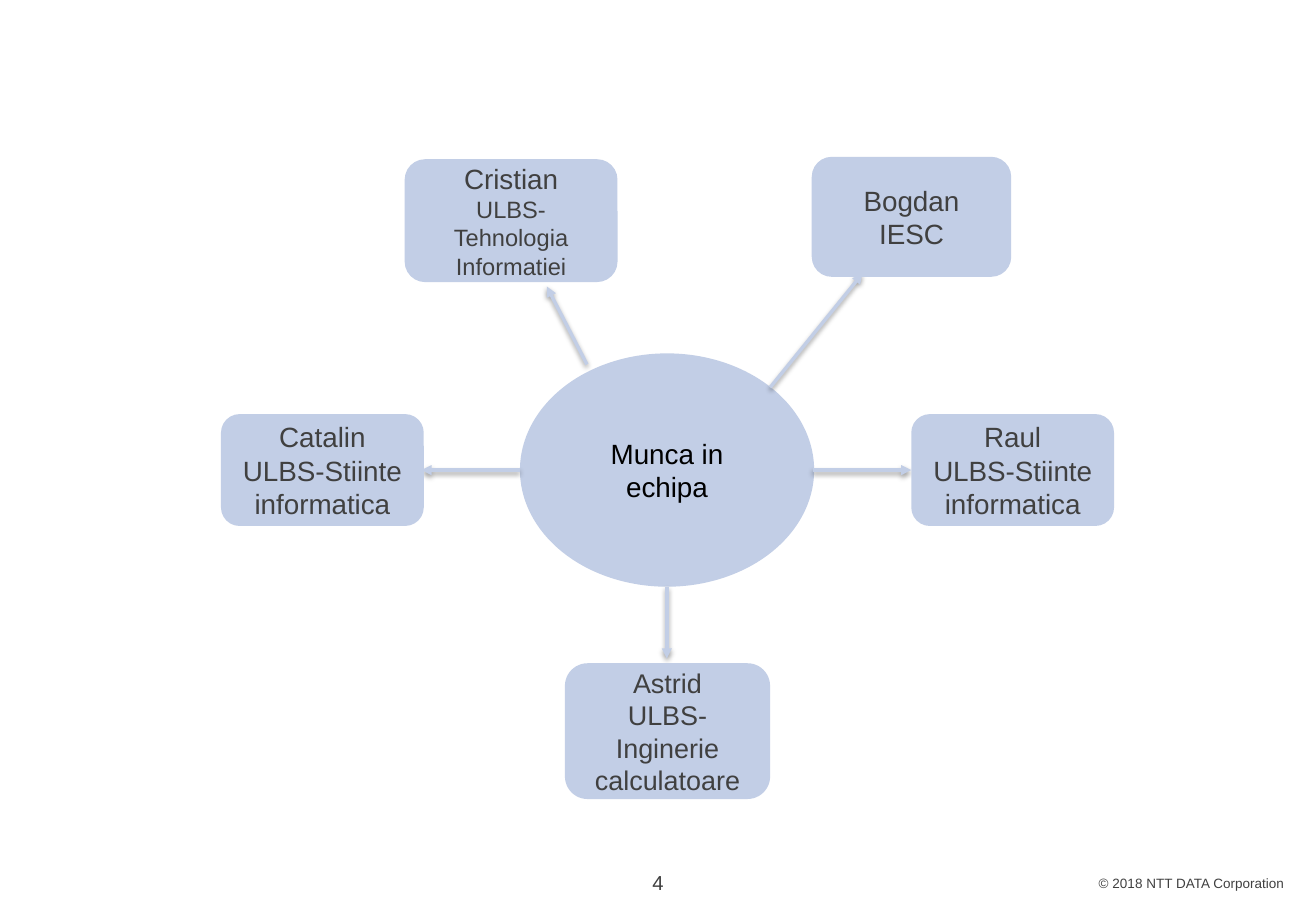
from dataclasses import dataclass

from lxml import etree
from pptx import Presentation
from pptx import util as u
from pptx.dml.color import RGBColor
from pptx.enum import shapes, text
from pptx.oxml import ns, parse_xml
from pptx.slide import Slide
from pptx.text.text import TextFrame


@dataclass(frozen=True)
class Theme:
    font: str = "Arial"
    fill: str = "C2CEE6"
    grey: str = "404040"
    black: str = "000000"
    name_size: float = 16.5
    astrid_size: float = 16
    detail_size: float = 14
    number_size: float = 12
    copyright_size: float = 8
    arrow_width: float = 2


@dataclass(frozen=True)
class Box:
    left: float
    top: float
    width: float
    height: float


@dataclass(frozen=True)
class Line:
    words: str
    size: float


@dataclass(frozen=True)
class Member:
    box: Box
    lines: tuple[Line, ...]
    start: tuple[float, float]
    end: tuple[float, float]


@dataclass(frozen=True)
class Footer:
    box: Box
    line: Line
    align: text.PP_ALIGN


THEME = Theme()
CENTER = text.PP_ALIGN.CENTER
HUB = Box(10.87, 7.39, 6.15, 4.88)
MIDDLE = 9.83
STIINTE = Line("ULBS-Stiinte informatica", THEME.name_size)

MEMBERS = (
    Member(
        Box(8.46, 3.33, 4.45, 2.57),
        (
            Line("Cristian", THEME.name_size),
            Line("ULBS-Tehnologia Informatiei", THEME.detail_size),
        ),
        (12.27, 7.62),
        (11.43, 5.99),
    ),
    Member(
        Box(4.62, 8.66, 4.24, 2.34),
        (Line("Catalin", THEME.name_size), STIINTE),
        (10.87, MIDDLE),
        (8.81, MIDDLE),
    ),
    Member(
        Box(19.05, 8.66, 4.24, 2.34),
        (Line("Raul", THEME.name_size), STIINTE),
        (16.99, MIDDLE),
        (19.05, MIDDLE),
    ),
    Member(
        Box(11.81, 13.87, 4.29, 2.84),
        (
            Line("Astrid", THEME.astrid_size),
            Line("ULBS-Inginerie calculatoare", THEME.astrid_size),
        ),
        (13.94, 12.27),
        (13.94, 13.77),
    ),
    Member(
        Box(16.97, 3.28, 4.17, 2.51),
        (Line("Bogdan", THEME.name_size), Line("IESC", THEME.name_size)),
        (16.1, 8.1),
        (18.03, 5.72),
    ),
)

FOOTERS = (
    Footer(
        Box(22.63, 18.29, 4.47, 0.36),
        Line("© 2018 NTT DATA Corporation", THEME.copyright_size),
        text.PP_ALIGN.RIGHT,
    ),
    Footer(Box(12.83, 18.19, 1.85, 0.51), Line("4", THEME.number_size), CENTER),
)

SHADOW = (
    f"<a:effectLst {ns.nsdecls('a')}>"
    '<a:outerShdw blurRad="39370" dist="20320" dir="5400000" rotWithShape="0">'
    '<a:srgbClr val="000000"><a:alpha val="38000"/></a:srgbClr>'
    "</a:outerShdw></a:effectLst>"
)


def cm(box: Box) -> tuple[u.Cm, u.Cm, u.Cm, u.Cm]:
    return u.Cm(box.left), u.Cm(box.top), u.Cm(box.width), u.Cm(box.height)


def write(
    tf: TextFrame, lines: tuple[Line, ...], color: str, align: text.PP_ALIGN = CENTER
) -> None:
    tf.word_wrap = True
    tf.text = "\n".join(line.words for line in lines)
    for p, line in zip(tf.paragraphs, lines):
        p.alignment = align
        for r in p.runs:
            r.font.name = THEME.font
            r.font.size = u.Pt(line.size)
            r.font.color.rgb = RGBColor.from_string(color)


def draw_node(
    s: Slide, kind: shapes.MSO_SHAPE, box: Box, lines: tuple[Line, ...], color: str
) -> None:
    sp = s.shapes.add_shape(kind, *cm(box))
    sp.shadow.inherit = False
    sp.fill.solid()
    sp.fill.fore_color.rgb = RGBColor.from_string(THEME.fill)
    sp.line.fill.background()
    sp.text_frame.vertical_anchor = text.MSO_ANCHOR.MIDDLE
    write(sp.text_frame, lines, color)


def draw_arrow(s: Slide, start: tuple[float, float], end: tuple[float, float]) -> None:
    points = (u.Cm(value) for value in start + end)
    cxn = s.shapes.add_connector(shapes.MSO_CONNECTOR.STRAIGHT, *points)
    cxn.line.color.rgb = RGBColor.from_string(THEME.fill)
    cxn.line.width = u.Pt(THEME.arrow_width)
    etree.SubElement(cxn.line._get_or_add_ln(), ns.qn("a:tailEnd"), type="triangle")
    cxn._element.spPr.append(parse_xml(SHADOW))


def draw_footer(s: Slide, footer: Footer) -> None:
    tf = s.shapes.add_textbox(*cm(footer.box)).text_frame
    tf.margin_top = tf.margin_bottom = 0
    tf.auto_size = text.MSO_AUTO_SIZE.SHAPE_TO_FIT_TEXT
    write(tf, (footer.line,), THEME.grey, footer.align)


def main() -> None:
    prs = Presentation()
    prs.slide_width, prs.slide_height = u.Cm(27.51), u.Cm(19.05)
    s = prs.slides.add_slide(prs.slide_layouts[6])
    for footer in FOOTERS:
        draw_footer(s, footer)
    hub_line = Line("Munca in echipa", THEME.name_size)
    draw_node(s, shapes.MSO_SHAPE.OVAL, HUB, (hub_line,), THEME.black)
    for member in MEMBERS:
        draw_arrow(s, member.start, member.end)
        draw_node(
            s,
            shapes.MSO_SHAPE.ROUNDED_RECTANGLE,
            member.box,
            member.lines,
            THEME.grey,
        )
    prs.save("out.pptx")


if __name__ == "__main__":
    main()
